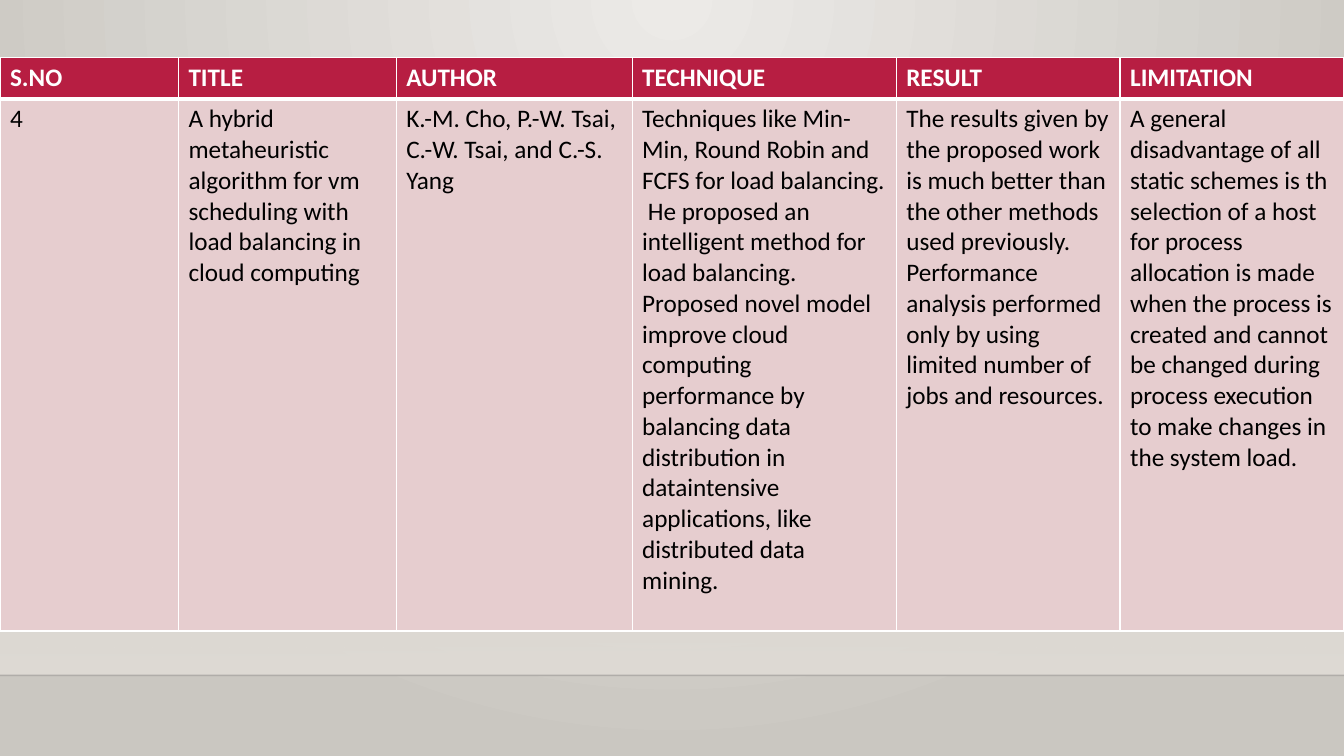
import dataclasses

import lxml.etree
import pptx
import pptx.dml.color
import pptx.enum.shapes
import pptx.oxml
import pptx.oxml.ns
import pptx.util

Inches = pptx.util.Inches
NAMESPACE = pptx.oxml.ns.nsdecls("a")


@dataclasses.dataclass(frozen=True)
class Theme:
    font: str = "Calibri"
    text_size: int = 18
    header_fill: str = "B71E42"
    header_text: str = "FFFFFF"
    body_fill: str = "E6CDCF"
    body_text: str = "000000"
    border: str = "FFFFFF"
    backdrop_light: str = "ECEAE7"
    backdrop_dark: str = "CAC7C1"
    panel: str = "DFDBD5"
    floor_line: str = "000001"


def gradient(start, end, direction, start_opacity=100):
    return pptx.oxml.parse_xml(
        f'<a:gradFill {NAMESPACE} rotWithShape="1"><a:gsLst>'
        f'<a:gs pos="0"><a:srgbClr val="{start}"><a:alpha val="{start_opacity * 1000}"/></a:srgbClr></a:gs>'
        f'<a:gs pos="100000"><a:srgbClr val="{end}"/></a:gs>'
        f"</a:gsLst>{direction}</a:gradFill>"
    )


class SlideBuilder:
    def __init__(self, presentation, theme):
        self.theme = theme
        self.width = presentation.slide_width
        self.slide = presentation.slides.add_slide(presentation.slide_layouts[6])

    def replace_fill(self, fill, properties, new_fill):
        fill.solid()
        old_fill = properties.find(pptx.oxml.ns.qn("a:solidFill"))
        properties.replace(old_fill, new_fill)

    def backdrop(self):
        direction = '<a:path path="circle"><a:fillToRect l="43000" t="0" r="43000" b="100000"/></a:path>'
        fill = self.slide.background.fill
        fill.solid()
        properties = self.slide.element.find(".//" + pptx.oxml.ns.qn("p:bgPr"))
        self.replace_fill(fill, properties, gradient(
            self.theme.backdrop_light, self.theme.backdrop_dark, direction))

    def panel(self, top, height):
        shape = self.slide.shapes.add_shape(
            pptx.enum.shapes.MSO_SHAPE.RECTANGLE, 0, top, self.width, height)
        shape.shadow.inherit = False
        shape.line.fill.background()
        direction = '<a:lin ang="5400000" scaled="0"/>'
        self.replace_fill(shape.fill, shape.element.spPr, gradient(
            self.theme.panel, self.theme.panel, direction, start_opacity=0))

    def floor_line(self, top):
        connector = self.slide.shapes.add_connector(
            pptx.enum.shapes.MSO_CONNECTOR.STRAIGHT, 0, top, self.width, top)
        connector.line.width = pptx.util.Pt(1)
        connector.line.color.rgb = pptx.dml.color.RGBColor.from_string(self.theme.floor_line)
        properties = connector.element.spPr
        color = properties.find(".//" + pptx.oxml.ns.qn("a:srgbClr"))
        lxml.etree.SubElement(color, pptx.oxml.ns.qn("a:alpha"), val="20000")
        lxml.etree.SubElement(properties, pptx.oxml.ns.qn("a:effectLst"))

    def borders(self, cell, widths):
        properties = cell._tc.get_or_add_tcPr()
        for position, (side, points) in enumerate(widths.items()):
            properties.insert(position, pptx.oxml.parse_xml(
                f'<a:ln{side} {NAMESPACE} w="{pptx.util.Pt(points)}"><a:solidFill>'
                f'<a:srgbClr val="{self.theme.border}"/></a:solidFill>'
                f'<a:prstDash val="solid"/></a:ln{side}>'))

    def cell(self, cell, text, fill, color, bold, widths):
        cell.fill.solid()
        cell.fill.fore_color.rgb = pptx.dml.color.RGBColor.from_string(fill)
        run = cell.text_frame.paragraphs[0].add_run()
        run.text = text
        run.font.name = self.theme.font
        run.font.size = pptx.util.Pt(self.theme.text_size)
        run.font.bold = bold
        run.font.color.rgb = pptx.dml.color.RGBColor.from_string(color)
        self.borders(cell, widths)

    def table(self, top, columns, row_heights):
        theme = self.theme
        frame = self.slide.shapes.add_table(
            len(row_heights), len(columns), 0, top, self.width, Inches(sum(row_heights)))
        table = frame.table
        table.horz_banding = False
        for row, height in zip(table.rows, row_heights):
            row.height = Inches(height)
        header_borders = {"L": 1, "R": 1, "T": 1, "B": 3}
        body_borders = {"L": 1, "R": 1, "B": 1}
        for index, (heading, width, text) in enumerate(columns):
            table.columns[index].width = Inches(width)
            self.cell(table.cell(0, index), heading, theme.header_fill,
                      theme.header_text, True, header_borders)
            self.cell(table.cell(1, index), text, theme.body_fill,
                      theme.body_text, False, body_borders)


SURVEY_COLUMNS = [
    ("S.NO", 1.77, "4"),
    ("TITLE", 2.16, "A hybrid metaheuristic algorithm for vm scheduling with load "
     "balancing in cloud computing"),
    ("AUTHOR", 2.34, "K.-M. Cho, P.-W. Tsai, C.-W. Tsai, and C.-S. Yang"),
    ("TECHNIQUE", 2.62, "Techniques like Min-Min, Round Robin and FCFS for load balancing.  "
     "He proposed an intelligent method for load balancing. Proposed novel model improve "
     "cloud computing performance by balancing data distribution in dataintensive "
     "applications, like distributed data mining."),
    ("RESULT", 2.22, "The results given by the proposed work is much better than the other "
     "methods used previously. Performance analysis performed only by using limited number "
     "of jobs and resources."),
    ("LIMITATION", 2.22, "A general disadvantage of all static schemes is th selection of a "
     "host for process allocation is made when the process is created and cannot be changed "
     "during process execution to make changes in the system load."),
]


def main():
    presentation = pptx.Presentation()
    presentation.slide_width = Inches(13.33)
    presentation.slide_height = Inches(7.5)
    builder = SlideBuilder(presentation, Theme())
    builder.backdrop()
    builder.panel(Inches(2.21), Inches(4.49))
    builder.floor_line(Inches(6.7))
    builder.table(Inches(0.57), SURVEY_COLUMNS, [0.41, 5.28])
    presentation.save("out.pptx")


if __name__ == "__main__":
    main()
